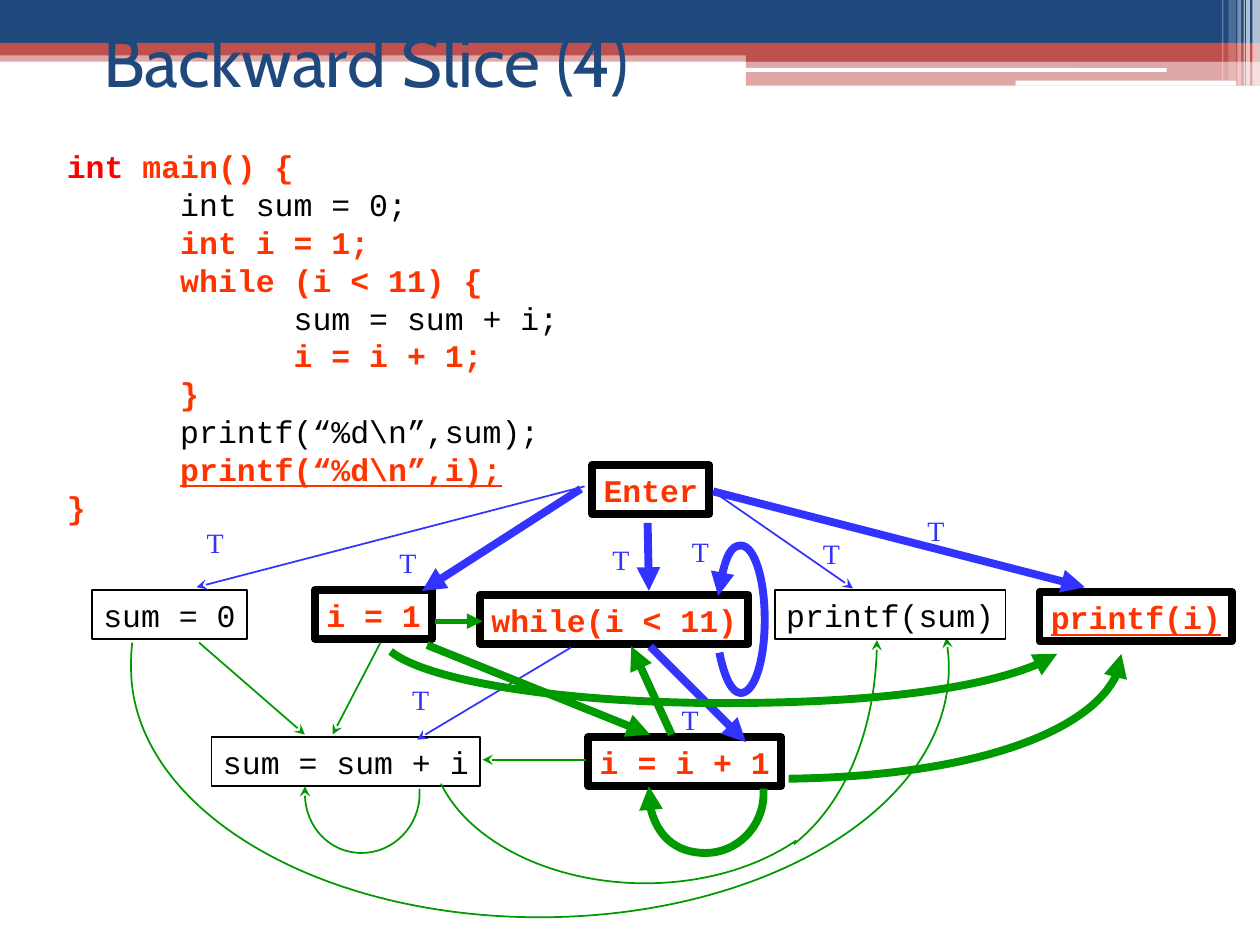
from lxml.etree import SubElement
from pptx import Presentation
from pptx.dml.color import RGBColor
from pptx.enum.shapes import MSO_CONNECTOR, MSO_SHAPE as Preset
from pptx.enum.text import MSO_ANCHOR, MSO_AUTO_SIZE
from pptx.oxml.ns import qn
from pptx.util import Inches, Pt

NAVY = RGBColor(0x1F, 0x49, 0x7D)
BRICK = RGBColor(0xC0, 0x50, 0x4D)
WHITE = RGBColor(0xFF, 0xFF, 0xFF)
BLACK = RGBColor(0, 0, 0)
RED = RGBColor(0xFF, 0, 0)
ORANGE = RGBColor(0xFF, 0x33, 0)
BLUE = RGBColor(0x33, 0x33, 0xFF)
GREEN = RGBColor(0, 0x99, 0)

CODE_FONT, LABEL_FONT, TITLE_FONT = "Courier New", "Times New Roman", "Cabin"
THIN, MEDIUM, THICK = 1, 3, 4.5
NODE_HEIGHT, TAB_STEP = 0.39, 0.9

# left, top, width, height, colour, opacity in percent
BANDS = [
    (0, 0.4, 10, 0.09, BRICK, 50),
    (0, 0, 10, 0.34, NAVY, 100),
    (0, 0.34, 10, 0.1, BRICK, 100),
    (5.92, 0.39, 4.08, 0.1, BRICK, 100),
    (5.92, 0.48, 4.08, 0.2, BRICK, 50),
]
ROUNDED_BARS = [(5.91, 0.54, 3.35, 0.03), (8.06, 0.64, 1.75, 0.04)]
# left, width, height, opacity
STRIPES = [(9.94, 0.06, 0.68, 65), (9.89, 0.03, 0.68, 65), (9.87, 0.01, 0.68, 60),
           (9.82, 0.03, 0.68, 40), (9.75, 0.06, 0.64, 20), (9.7, 0.01, 0.64, 30)]

# Each line is a list of (text, colour, bold, underline)
CODE = [
    [("int ", RED, True, False), ("main() {", ORANGE, True, False)],
    [("\tint sum = 0;", BLACK, False, False)],
    [("\tint i = 1;", ORANGE, True, False)],
    [("\twhile (i < 11) {", ORANGE, True, False)],
    [("\t\tsum = sum + i;", BLACK, False, False)],
    [("\t\ti = i + 1;", ORANGE, True, False)],
    [("\t}", ORANGE, True, False)],
    [("\tprintf(“%d\\n”,sum);", BLACK, False, False)],
    [("\tprintf(“%d\\n”,i);", ORANGE, True, True)],
    [("}", ORANGE, True, False)],
]

# text, left, top, width, in the slice, underlined
NODES = [
    ("Enter", 4.7, 3.69, 0.93, True, False),
    ("sum = 0", 0.73, 4.68, 1.23, False, False),
    ("i = 1", 2.5, 4.68, 0.93, True, False),
    ("while(i < 11)", 3.81, 4.72, 2.13, True, False),
    ("printf(sum)", 6.15, 4.68, 1.83, False, False),
    ("printf(i)", 8.25, 4.7, 1.53, True, True),
    ("sum = sum + i", 1.68, 5.85, 2.13, False, False),
    ("i = i + 1", 4.67, 5.85, 1.53, True, False),
]

# start, end, colour, width
ARROWS = [
    ((4.53, 5.14), (3.31, 5.87), BLUE, THIN),
    ((4.64, 3.86), (1.56, 4.66), BLUE, THIN),
    ((4.61, 3.88), (3.35, 4.69), BLUE, THICK),
    ((5.66, 3.9), (6.77, 4.67), BLUE, THIN),
    ((5.66, 3.9), (8.61, 4.66), BLUE, THICK),
    ((5.14, 4.15), (5.15, 4.69), BLUE, THICK),
    ((5.16, 5.13), (5.92, 5.89), BLUE, THICK),
    ((1.58, 5.1), (2.42, 5.83), GREEN, THIN),
    ((3.02, 5.1), (2.64, 5.83), GREEN, THIN),
    ((3.45, 4.93), (3.83, 4.93), GREEN, MEDIUM),
    ((3.39, 5.12), (5.16, 5.83), GREEN, THICK),
    ((5.33, 5.83), (5.01, 5.13), GREEN, THICK),
    ((4.65, 6.03), (3.83, 6.03), GREEN, THIN),
]

# Bezier points (start, then three per segment), colour, width, arrow end
SUM_TO_PRINT = [(7.51, 5.06), (7.52, 5.14), (7.53, 5.22), (7.53, 5.3),
                (7.53, 6.4), (6.08, 7.28), (4.28, 7.28),
                (2.49, 7.28), (1.04, 6.4), (1.04, 5.3),
                (1.04, 5.23), (1.04, 5.17), (1.05, 5.1)]
SELF_LOOP = [(0.91, 6.26), (0.91, 6.27), (0.91, 6.28), (0.91, 6.3),
             (0.91, 6.56), (0.7, 6.77), (0.45, 6.77),
             (0.2, 6.77), (0, 6.56), (0, 6.3),
             (0, 6.28), (0, 6.26), (0, 6.24)]
CURVES = [
    ([(8.39, 5.19), (8.06, 5.42), (6.98, 5.58), (5.75, 5.58),
      (4.49, 5.58), (3.4, 5.41), (3.1, 5.17)], GREEN, THICK, "headEnd"),
    ([(x + 2.42, y) for x, y in SELF_LOOP], GREEN, THIN, "tailEnd"),
    ([(x + 5.15, y) for x, y in SELF_LOOP], GREEN, THICK, "tailEnd"),
    ([(6.32, 6.67), (6, 6.89), (5.57, 7.01), (5.12, 7.01),
      (4.39, 7.01), (3.73, 6.69), (3.5, 6.22)], GREEN, THIN, None),
    ([(6.96, 5.08), (6.96, 5.75), (6.71, 6.38), (6.3, 6.7)], GREEN, THIN, "headEnd"),
    ([(8.9, 5.19), (8.9, 5.72), (7.73, 6.16), (6.26, 6.18)], GREEN, THICK, "headEnd"),
    ([(5.7, 4.73), (5.73, 4.49), (5.8, 4.33), (5.88, 4.33),
      (5.99, 4.33), (6.07, 4.6), (6.07, 4.92),
      (6.07, 5.24), (5.99, 5.5), (5.88, 5.5),
      (5.81, 5.5), (5.75, 5.38), (5.71, 5.18)], BLUE, THICK, "headEnd"),
]

TRUE_LABELS = [(3.18, 5.37), (5.32, 5.53), (1.55, 4.12), (3.08, 4.28),
               (6.44, 4.21), (7.27, 4.03), (5.4, 4.19), (4.77, 4.26)]


def add_bar(slide, box, color, opacity=100, preset=Preset.RECTANGLE):
    shape = slide.shapes.add_shape(preset, *map(Inches, box))
    shape.shadow.inherit = False
    shape.line.fill.background()
    shape.fill.solid()
    shape.fill.fore_color.rgb = color
    if opacity < 100:
        color_element = shape._element.spPr.find(qn("a:solidFill"))[0]
        SubElement(color_element, qn("a:alpha"), val=str(opacity * 1000))


def write_lines(shape, lines, font, size):
    frame = shape.text_frame
    frame.word_wrap = True
    frame.auto_size = MSO_AUTO_SIZE.NONE
    frame.vertical_anchor = MSO_ANCHOR.TOP
    # No right margin, so that each line has room to stay whole
    frame.margin_left, frame.margin_right = Inches(0.09), 0
    frame.margin_top = frame.margin_bottom = Inches(0.05)
    for index, line in enumerate(lines):
        paragraph = frame.add_paragraph() if index else frame.paragraphs[0]
        properties = paragraph._p.get_or_add_pPr()
        properties.set("algn", "l")
        if any("\t" in part[0] for part in line):
            tabs = SubElement(properties, qn("a:tabLst"))
            for stop in (1, 2):
                SubElement(tabs, qn("a:tab"), pos=str(Inches(stop * TAB_STEP)), algn="l")
        for text, color, bold, underline in line:
            run = paragraph.add_run()
            run.text = text
            run.font.name, run.font.size = font, Pt(size)
            run.font.bold, run.font.underline = bold, underline
            run.font.color.rgb = color


def add_text(slide, box, lines, font, size):
    shape = slide.shapes.add_textbox(*map(Inches, box))
    write_lines(shape, lines, font, size)
    return shape


def add_node(slide, text, left, top, width, in_slice, underline):
    box = map(Inches, (left, top, width, NODE_HEIGHT))
    shape = slide.shapes.add_shape(Preset.RECTANGLE, *box)
    shape.shadow.inherit = False
    shape.fill.background()
    shape.line.color.rgb = BLACK
    shape.line.width = Pt(THICK if in_slice else THIN)
    color = ORANGE if in_slice else BLACK
    write_lines(shape, [[(text, color, in_slice, underline)]], CODE_FONT, 18)


def style_line(shape, color, width, arrow_end):
    shape.line.color.rgb = color
    shape.line.width = Pt(width)
    if arrow_end:
        line = shape._element.spPr.find(qn("a:ln"))
        SubElement(line, qn("a:" + arrow_end), type="stealth" if width == THIN else "triangle")


def add_arrow(slide, start, end, color, width):
    points = map(Inches, start + end)
    connector = slide.shapes.add_connector(MSO_CONNECTOR.STRAIGHT, *points)
    style_line(connector, color, width, "tailEnd")
    SubElement(connector._element.spPr, qn("a:effectLst"))


def add_curve(slide, points, color, width, arrow_end):
    start, *others = [(Inches(x), Inches(y)) for x, y in points]
    builder = slide.shapes.build_freeform(*start)
    builder.add_line_segments(others, close=False)
    shape = builder.convert_to_shape()
    shape.shadow.inherit = False
    shape.fill.background()
    style_line(shape, color, width, arrow_end)
    # Turn every three straight segments into one cubic segment
    outline = next(shape._element.iter(qn("a:moveTo"))).getparent()
    segments = outline.findall(qn("a:lnTo"))
    for index in range(0, len(segments), 3):
        cubic = SubElement(outline, qn("a:cubicBezTo"))
        for segment in segments[index:index + 3]:
            cubic.append(segment[0])
            outline.remove(segment)


def main():
    presentation = Presentation()
    presentation.slide_width, presentation.slide_height = Inches(10), Inches(7.5)
    slide = presentation.slides.add_slide(presentation.slide_layouts[6])

    # Header decoration
    for *box, color, opacity in BANDS:
        add_bar(slide, box, color, opacity)
    for box in ROUNDED_BARS:
        add_bar(slide, box, WHITE, preset=Preset.ROUNDED_RECTANGLE)
    for left, width, height, opacity in STRIPES:
        add_bar(slide, (left, 0, width, height), WHITE, opacity)

    # Title and program
    add_curve(slide, SUM_TO_PRINT, GREEN, THIN, "headEnd")
    title = add_text(slide, (0.73, 0, 8.5, 0.94),
                     [[("Backward Slice (4)", NAVY, False, False)]], TITLE_FONT, 40)
    title.text_frame.vertical_anchor = MSO_ANCHOR.MIDDLE
    add_text(slide, (0.44, 1.12, 4.08, 3.09), CODE, CODE_FONT, 18)

    # Dependence graph
    for node in NODES:
        add_node(slide, *node)
    for arrow in ARROWS:
        add_arrow(slide, *arrow)
    for curve in CURVES:
        add_curve(slide, *curve)
    for left, top in TRUE_LABELS:
        add_text(slide, (left, top, 0.32, 0.36),
                 [[("T", BLUE, False, False)]], LABEL_FONT, 16)

    presentation.save("out.pptx")


if __name__ == "__main__":
    main()
